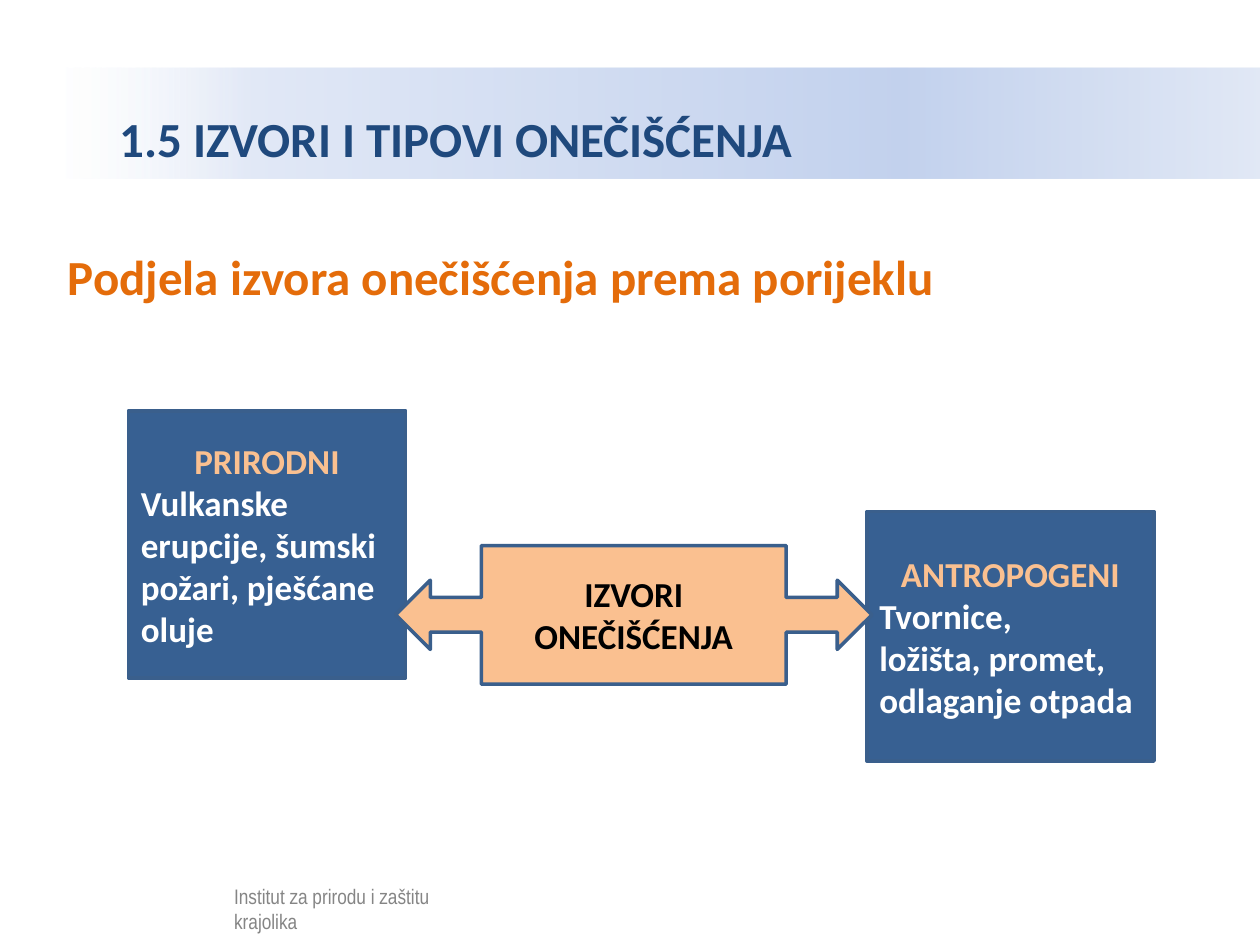
from lxml.etree import SubElement
from pptx import Presentation
from pptx.dml.color import RGBColor
from pptx.enum.shapes import MSO_SHAPE
from pptx.enum.text import MSO_ANCHOR, PP_ALIGN
from pptx.oxml.ns import qn
from pptx.util import Inches, Pt

NAVY, BLUE, OUTLINE = "1F497D", "376092", "3A5F8C"
ORANGE, PEACH = "E46C0A", "FAC090"
WHITE, BLACK = "FFFFFF", "000000"


def color(value):
    return RGBColor.from_string(value)


def set_alpha(color_element, percent):
    SubElement(color_element, qn("a:alpha")).set("val", str(percent * 1000))


class SlideBuilder:
    font = "Calibri"

    def __init__(self, slide):
        self.slide = slide

    def fill_text(self, box, lines, size, font=font, bold=True,
                  anchor=MSO_ANCHOR.MIDDLE):
        """Fill a box with (text, colour, alignment) lines."""
        frame = box.text_frame
        frame.word_wrap = True
        frame.vertical_anchor = anchor
        for index, (text, text_color, alignment) in enumerate(lines):
            para = frame.add_paragraph() if index else frame.paragraphs[0]
            para.text = text
            para.alignment = alignment
            para.font.name = font
            para.font.size = Pt(size)
            para.font.bold = bold
            para.font.color.rgb = color(text_color)
        return frame

    def text(self, area, text, text_color, size, **style):
        box = self.slide.shapes.add_textbox(*map(Inches, area))
        self.fill_text(box, [(text, text_color, PP_ALIGN.LEFT)], size,
                       anchor=MSO_ANCHOR.TOP, **style)

    def shape(self, area, fill, line=None, kind=MSO_SHAPE.RECTANGLE):
        box = self.slide.shapes.add_shape(kind, *map(Inches, area))
        box.shadow.inherit = False
        box.fill.solid()
        box.fill.fore_color.rgb = color(fill)
        if line:
            box.line.color.rgb = color(line)
            box.line.width = Pt(2)
        else:
            box.line.fill.background()
        return box

    def veil(self, area, fill, opacity):
        box = self.shape(area, fill)
        set_alpha(box.element.spPr.find(".//" + qn("a:srgbClr")), opacity)

    def title_band(self, area, text, stops):
        band = self.shape(area, WHITE)
        band.fill.gradient()
        band.fill.gradient_angle = 0
        stop_list = band.element.spPr.find(".//" + qn("a:gsLst"))
        for old_stop in list(stop_list):
            stop_list.remove(old_stop)
        for position, stop_color, opacity in stops:
            stop = SubElement(stop_list, qn("a:gs"), pos=str(position * 1000))
            set_alpha(SubElement(stop, qn("a:srgbClr"), val=stop_color), opacity)
        frame = self.fill_text(band, [(text, NAVY, PP_ALIGN.LEFT)], 28)
        frame.margin_left = Inches(0.45)
        frame.paragraphs[0].line_spacing = 1.5

    def source_box(self, area, heading, *details):
        box = self.shape(area, BLUE, OUTLINE)
        lines = [(heading, PEACH, PP_ALIGN.CENTER)]
        lines += [(detail, WHITE, PP_ALIGN.LEFT) for detail in details]
        self.fill_text(box, lines, 20)

    def callout(self, area, text, adjustments):
        box = self.shape(area, PEACH, OUTLINE, MSO_SHAPE.LEFT_RIGHT_ARROW_CALLOUT)
        for index, value in enumerate(adjustments):
            box.adjustments[index] = value
        self.fill_text(box, [(text, BLACK, PP_ALIGN.CENTER)], 20)


def main():
    deck = Presentation()
    deck.slide_width, deck.slide_height = Inches(10), Inches(7.5)
    page = SlideBuilder(deck.slides.add_slide(deck.slide_layouts[6]))

    # Title
    page.title_band((0.5, 0.54, 9.5, 0.88), "1.5 IZVORI I TIPOVI ONEČIŠĆENJA",
                    [(0, WHITE, 52), (16, "E1E8F6", 100),
                     (70, "C2D1ED", 100), (100, "E1E8F5", 100)])

    # Footer, dimmed by a translucent white veil
    page.text((1.76, 6.96, 2.09, 0.25), "Institut za prirodu i zaštitu krajolika",
              BLACK, 12, font="Arial Narrow", bold=False)
    page.veil((0.41, 6.93, 3.82, 0.48), WHITE, 52)

    # Subtitle
    page.text((0.44, 1.91, 9.37, 0.57), "Podjela izvora onečišćenja prema porijeklu",
              ORANGE, 28)

    # Natural and human sources, joined by the callout
    page.source_box((1.02, 3.26, 2.2, 2.12), "PRIRODNI",
                    "Vulkanske erupcije, šumski požari, pješćane oluje")
    page.source_box((6.88, 4.06, 2.28, 1.98), "ANTROPOGENI",
                    "Tvornice,", "ložišta, promet, odlaganje otpada")
    page.callout((3.14, 4.33, 3.78, 1.1), "IZVORI ONEČIŠĆENJA",
                 (0.25, 0.25, 0.25, 0.64))

    deck.save("out.pptx")


if __name__ == "__main__":
    main()
